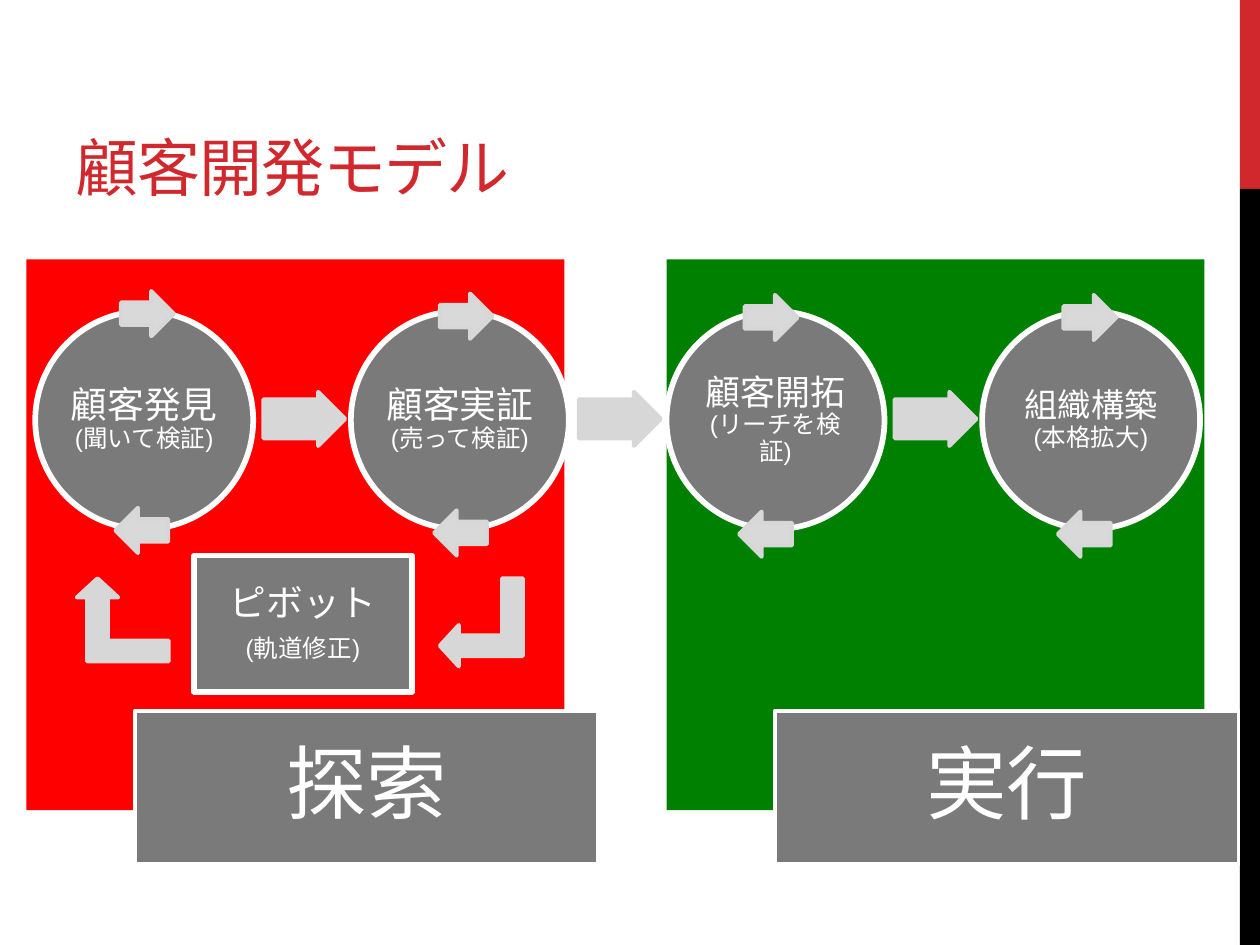
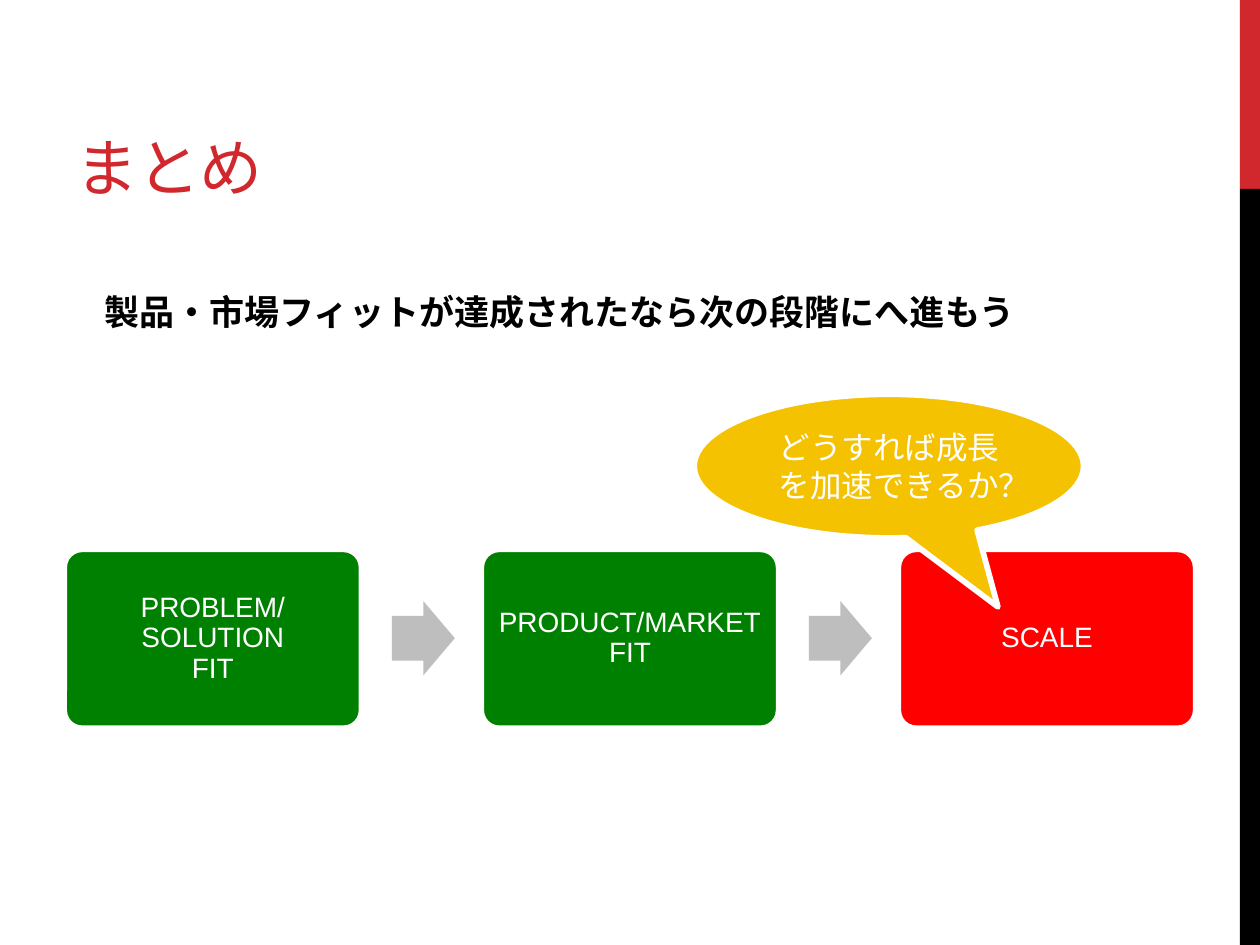
import pptx
import pptx.util
import pptx.dml.color
import pptx.enum.shapes
import pptx.enum.text
import pptx.oxml.ns
from dataclasses import dataclass

Shape = pptx.enum.shapes.MSO_SHAPE
Align = pptx.enum.text.PP_ALIGN
Anchor = pptx.enum.text.MSO_ANCHOR
Pt = pptx.util.Pt


@dataclass(frozen=True)
class Theme:
    accent: str = "D1282E"
    black: str = "000000"
    white: str = "FFFFFF"
    red: str = "FF0000"
    green: str = "008000"
    grey: str = "7A7A7A"
    arrow: str = "D7D7D7"
    cycle: str = "D9D9D9"
    step: str = "BEBEBE"
    yellow: str = "F5C201"
    title_font: str = "Montserrat"
    body_font: str = "Arial"
    title_size: int = 36
    caption_size: int = 46
    stage_size: int = 21
    note_size: int = 14
    lead_size: int = 20
    callout_size: int = 18
    card_size: int = 16
    thin: float = 2.25
    thick: float = 3.25


theme = Theme()
COLUMNS, ROWS = 100, 75
deck = pptx.Presentation()
deck.slide_width = pptx.util.Inches(10)
deck.slide_height = pptx.util.Inches(7.5)
column = deck.slide_width / COLUMNS
row = deck.slide_height / ROWS


def place(page, kind, area, fill=None, line=None, weight=theme.thin, adjust=()):
    """Put a shape, or a text box if kind is None, on (left, top, width, height) in grid cells."""
    left, top, width, height = area
    cells = [round(n) for n in (left * column, top * row, width * column, height * row)]
    if kind is None:
        return page.shapes.add_textbox(*cells)
    shape = page.shapes.add_shape(kind, *cells)
    shape.shadow.inherit = False
    shape.fill.solid()
    shape.fill.fore_color.rgb = pptx.dml.color.RGBColor.from_string(fill)
    if line:
        shape.line.color.rgb = pptx.dml.color.RGBColor.from_string(line)
        shape.line.width = Pt(weight)
    else:
        shape.line.fill.background()
    for index, value in enumerate(adjust):
        shape.adjustments[index] = value
    return shape


def write(box, paragraphs, color=theme.white, font=theme.body_font, bold=False, inset=None,
          align=Align.CENTER, anchor=Anchor.MIDDLE, spacing=0.9, before=0, after=0, tracking=None):
    """Fill a box with paragraphs, each a list of (text, size) runs; a newline is a line break."""
    frame = box.text_frame
    frame.word_wrap = True
    frame.vertical_anchor = anchor
    if inset is not None:
        frame.margin_left = frame.margin_right = round(inset * column)
        frame.margin_top = frame.margin_bottom = round(inset * row)
    for number, runs in enumerate(paragraphs):
        para = frame.add_paragraph() if number else frame.paragraphs[0]
        para.alignment = align
        para.line_spacing = spacing
        para.space_before, para.space_after = Pt(before), Pt(after)
        for text, size in runs:
            for part, words in enumerate(text.split("\n")):
                if part:
                    para.add_line_break()
                span = para.add_run()
                span.text = words
                span.font.name, span.font.size, span.font.bold = font, Pt(size), bold
                span.font.color.rgb = pptx.dml.color.RGBColor.from_string(color)
                if tracking:
                    span.font._element.set("spc", str(tracking))


# Side band and title of every slide
pages = []
for title in ("顧客開発モデル", "まとめ"):
    page = deck.slides.add_slide(deck.slide_layouts[6])
    place(page, Shape.RECTANGLE, (98.4, 0, 1.6, 15), theme.accent)
    place(page, Shape.RECTANGLE, (98.4, 15, 1.6, 60), theme.black)
    heading = place(page, None, (5, 1.7, 63.3, 15))
    write(heading, [[(title, theme.title_size)]], theme.accent, theme.title_font,
          align=Align.LEFT, anchor=Anchor.BOTTOM, spacing=1, tracking=-60)
    pages.append(page)
model, summary = pages

# Customer development model: two phases
for left, color, caption in ((2.1, theme.red, "探索"), (52.9, theme.green, "実行")):
    place(model, Shape.RECTANGLE, (left, 20.6, 42.7, 43.7), color)
    label = place(model, Shape.RECTANGLE, (left + 8.6, 56.4, 36.8, 12.2), theme.grey, theme.white)
    write(label, [[(caption, theme.caption_size)]], inset=1)

# Four stages, each with its own loop of arrows
stages = [
    ("顧客発見", "(聞いて検証)", theme.stage_size, 9.6, 23.1),
    ("顧客実証", "(売って検証)", theme.stage_size, 34.9, 23.3),
    ("顧客開拓", "(リーチを検証)", 20, 59.1, 23.4),
    ("組織構築", "(本格拡大)", 19, 84.4, 23.4),
]
for index, (name, note, size, loop_left, loop_top) in enumerate(stages):
    left = 2.8 + 25.05 * index
    circle = place(model, Shape.OVAL, (left, 24.7, 17.3, 17.3), theme.grey, theme.white, theme.thick)
    write(circle, [[(name, size), (note, theme.note_size)]], inset=0.2)
    # The oval's own text area already lies 2.5 cells inside its outline
    if index < len(stages) - 1:
        place(model, Shape.RIGHT_ARROW, (left + 18.1, 31.1, 6.5, 4.3),
              theme.arrow, theme.arrow, adjust=(0.72, 0.5))
    place(model, Shape.RIGHT_ARROW, (loop_left, loop_top, 4.2, 3.6), theme.cycle, theme.arrow)
    place(model, Shape.LEFT_ARROW, (loop_left - 0.45, loop_top + 17.2, 4.2, 3.6),
          theme.cycle, theme.arrow)

# Pivot back from the second stage to the first
pivot = place(model, Shape.RECTANGLE, (15.4, 44.1, 17.3, 10.8), theme.grey, theme.white, theme.thick)
write(pivot, [[("ピボット", theme.stage_size)], [("(軌道修正)", theme.note_size)]], inset=2.7, after=7)
for area, turn in (((34.7, 46.1, 7, 6.6), 270), ((6.1, 45.9, 7.3, 6.6), 0)):
    bend = place(model, Shape.BENT_UP_ARROW, area, theme.arrow, theme.arrow,
                 adjust=(0.25, 0.25, 0.23))
    bend.rotation = turn
    bend._element.spPr.find(pptx.oxml.ns.qn("a:xfrm")).set("flipH", "1")

# Summary: three cards in a row
cards = [
    ("PROBLEM/SOLUTION\nFIT", theme.green),
    ("PRODUCT/MARKET\nFIT", theme.green),
    ("SCALE", theme.red),
]
for index, (name, color) in enumerate(cards):
    left = 5.1 + 33.1 * index
    card = place(summary, Shape.ROUNDED_RECTANGLE, (left, 43.6, 23.6, 14.2),
                 color, theme.white, theme.thick, (0.1,))
    write(card, [[(name, theme.card_size)]], inset=0.7)
    if index < len(cards) - 1:
        place(summary, Shape.RIGHT_ARROW, (left + 26, 47.7, 5, 5.9), theme.step, adjust=(0.6, 0.5))

lead = place(summary, None, (7.3, 22.6, 81, 37.7))
write(lead, [[("製品・市場フィットが達成されたなら次の段階にへ進もう", theme.lead_size)]], theme.black,
      bold=True, align=Align.LEFT, anchor=Anchor.TOP, spacing=1, before=4, after=6)
callout = place(summary, Shape.OVAL_CALLOUT, (55.1, 31.3, 30.9, 11.4),
                theme.yellow, theme.white, theme.thick, (0.28, 0.98))
write(callout, [[("どうすれば成長を加速できるか？", theme.callout_size)]], spacing=1)

deck.save("out.pptx")
